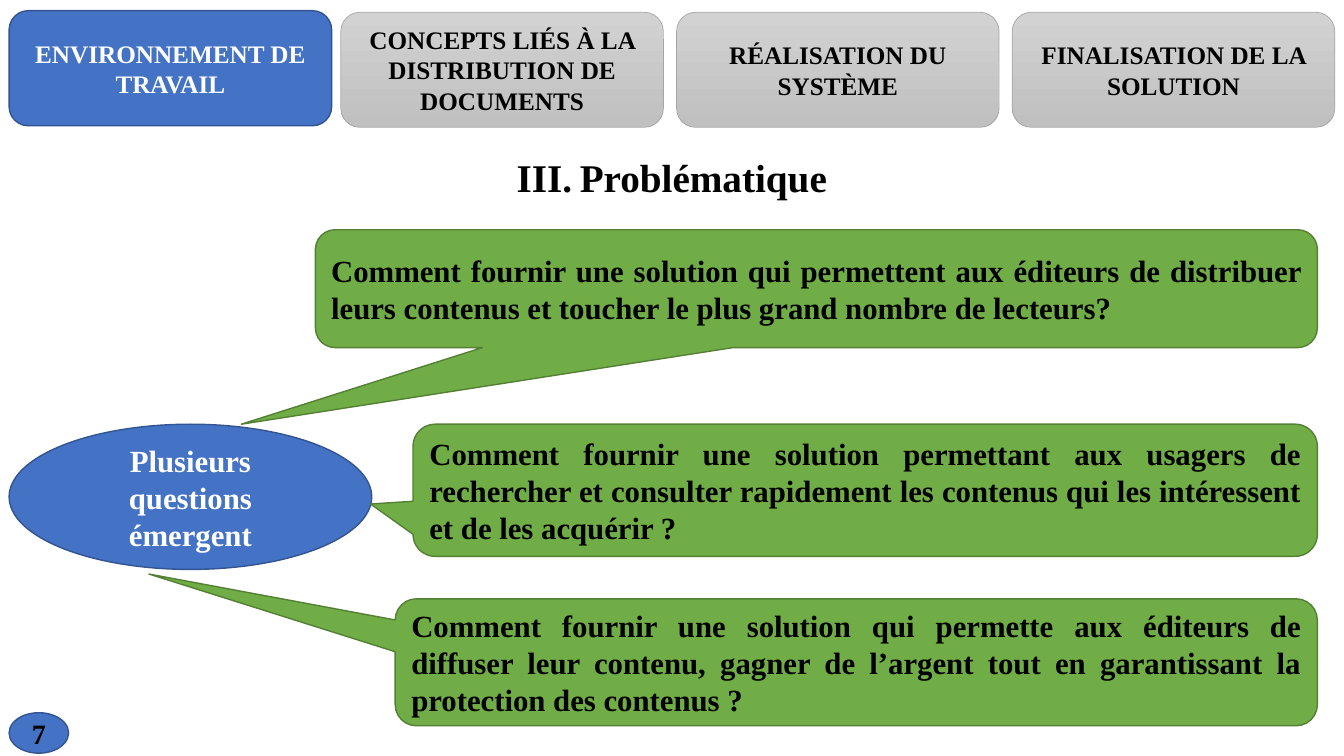
from dataclasses import dataclass

from lxml.etree import SubElement
from pptx import Presentation
from pptx.dml.color import RGBColor
from pptx.enum.shapes import MSO_SHAPE as Preset
from pptx.enum.text import MSO_ANCHOR as Anchor, PP_ALIGN as Align
from pptx.oxml.ns import qn
from pptx.slide import Slide
from pptx.text.text import TextFrame
from pptx.util import Cm, Pt

BLUE = RGBColor(0x44, 0x72, 0xC4)
DARK_BLUE = RGBColor(0x32, 0x54, 0x91)
GREEN = RGBColor(0x70, 0xAD, 0x47)
DARK_GREEN = RGBColor(0x53, 0x80, 0x35)
LIGHT_GREY = RGBColor(0xD2, 0xD2, 0xD2)
GREY = RGBColor(0xC0, 0xC0, 0xC0)
DARK_GREY = RGBColor(0xA5, 0xA5, 0xA5)
BLACK = RGBColor(0, 0, 0)
WHITE = RGBColor(0xFF, 0xFF, 0xFF)

FONT = "Times New Roman"
LEFT_EDGE = 0.23
RIGHT_EDGE = 33.2
TAB_STEP = 8.46


@dataclass(frozen=True)
class Style:
    fill: tuple[RGBColor, ...]
    line: RGBColor
    line_width: float
    text: RGBColor
    size: int
    align: Align = Align.CENTER


@dataclass(frozen=True)
class Box:
    preset: Preset
    text: str
    left: float
    top: float
    width: float
    height: float
    style: Style
    adjustments: tuple[float, ...] = ()


@dataclass(frozen=True)
class Question:
    text: str
    left: float
    top: float
    height: float
    tip: tuple[float, float]


ACTIVE_TAB = Style((BLUE,), DARK_BLUE, 1, WHITE, 18)
OTHER_TAB = Style((LIGHT_GREY, GREY), DARK_GREY, 0.5, BLACK, 18)
HUB = Style((BLUE,), DARK_BLUE, 1, WHITE, 22)
CALLOUT = Style((GREEN,), DARK_GREEN, 1, BLACK, 22, Align.JUSTIFY)
PAGE_NUMBER = Style((BLUE,), DARK_BLUE, 1, BLACK, 20)

SECTIONS = (
    "ENVIRONNEMENT DE TRAVAIL",
    "CONCEPTS LIÉS À LA DISTRIBUTION DE DOCUMENTS",
    "RÉALISATION DU SYSTÈME",
    "FINALISATION DE LA SOLUTION",
)
QUESTIONS = (
    Question(
        "Comment fournir une solution qui permettent aux éditeurs de distribuer "
        "leurs contenus et toucher le plus grand nombre de lecteurs?",
        7.95, 5.79, 2.97, (-0.574, 1.15),
    ),
    Question(
        "Comment fournir une solution permettant aux usagers de rechercher et consulter "
        "rapidement les contenus qui les intéressent et de les acquérir ?",
        10.41, 10.69, 3.33, (-0.547, 0.104),
    ),
    Question(
        "Comment fournir une solution qui permette aux éditeurs de diffuser leur contenu, "
        "gagner de l’argent tout en garantissant la protection des contenus ?",
        9.96, 15.09, 3.2, (-0.767, -0.695),
    ),
)


def write(frame: TextFrame, text: str, size: int, color: RGBColor, align: Align) -> None:
    frame.word_wrap = True
    frame.text = text
    paragraph = frame.paragraphs[0]
    paragraph.alignment = align
    paragraph.font.name = FONT
    paragraph.font.size = Pt(size)
    paragraph.font.bold = True
    paragraph.font.color.rgb = color


def draw_box(slide: Slide, box: Box) -> None:
    style = box.style
    shape = slide.shapes.add_shape(
        box.preset, Cm(box.left), Cm(box.top), Cm(box.width), Cm(box.height)
    )
    shape.shadow.inherit = False
    for index, value in enumerate(box.adjustments):
        shape.adjustments[index] = value
    if len(style.fill) == 1:
        shape.fill.solid()
        shape.fill.fore_color.rgb = style.fill[0]
    else:
        shape.fill.gradient()
        shape.fill.gradient_angle = 270
        for stop, color in zip(shape.fill.gradient_stops, style.fill):
            stop.color.rgb = color
    shape.line.color.rgb = style.line
    shape.line.width = Pt(style.line_width)
    shape.text_frame.vertical_anchor = Anchor.MIDDLE
    write(shape.text_frame, box.text, style.size, style.text, style.align)


def draw_title(slide: Slide, text: str, number: int) -> None:
    title = slide.shapes.title
    title.left, title.top = Cm(LEFT_EDGE), Cm(3.86)
    title.width, title.height = Cm(33.4), Cm(1.6)
    title.text_frame.vertical_anchor = Anchor.TOP
    write(title.text_frame, text, 28, BLACK, Align.CENTER)
    paragraph = title.text_frame.paragraphs[0]
    paragraph.line_spacing = 0.9
    paragraph.space_before = Pt(10)
    properties = paragraph._p.get_or_add_pPr()
    properties.set("marL", str(Cm(1.59)))
    properties.set("indent", str(Cm(-1.59)))
    numbering = SubElement(properties, qn("a:buAutoNum"), type="romanUcPeriod", startAt=str(number))
    properties.find(qn("a:spcBef")).addnext(numbering)


def main() -> None:
    deck = Presentation()
    deck.slide_width, deck.slide_height = Cm(33.87), Cm(19.05)
    slide = deck.slides.add_slide(deck.slide_layouts[5])

    draw_title(slide, "Problématique", 3)
    for index, section in enumerate(SECTIONS):
        active = index == 0
        draw_box(slide, Box(
            Preset.ROUNDED_RECTANGLE, section,
            max(LEFT_EDGE, 0.13 + index * TAB_STEP), 0.27 if active else 0.31, 8.13, 2.9,
            ACTIVE_TAB if active else OTHER_TAB,
        ))
    draw_box(slide, Box(
        Preset.OVAL, "Plusieurs questions émergent", LEFT_EDGE, 10.69, 9.14, 3.66, HUB
    ))
    for question in QUESTIONS:
        draw_box(slide, Box(
            Preset.ROUNDED_RECTANGULAR_CALLOUT, question.text, question.left, question.top,
            RIGHT_EDGE - question.left, question.height, CALLOUT, (*question.tip, 0.167),
        ))
    draw_box(slide, Box(Preset.OVAL, "7", LEFT_EDGE, 17.96, 1.5, 1.02, PAGE_NUMBER))

    deck.save("out.pptx")


if __name__ == "__main__":
    main()
